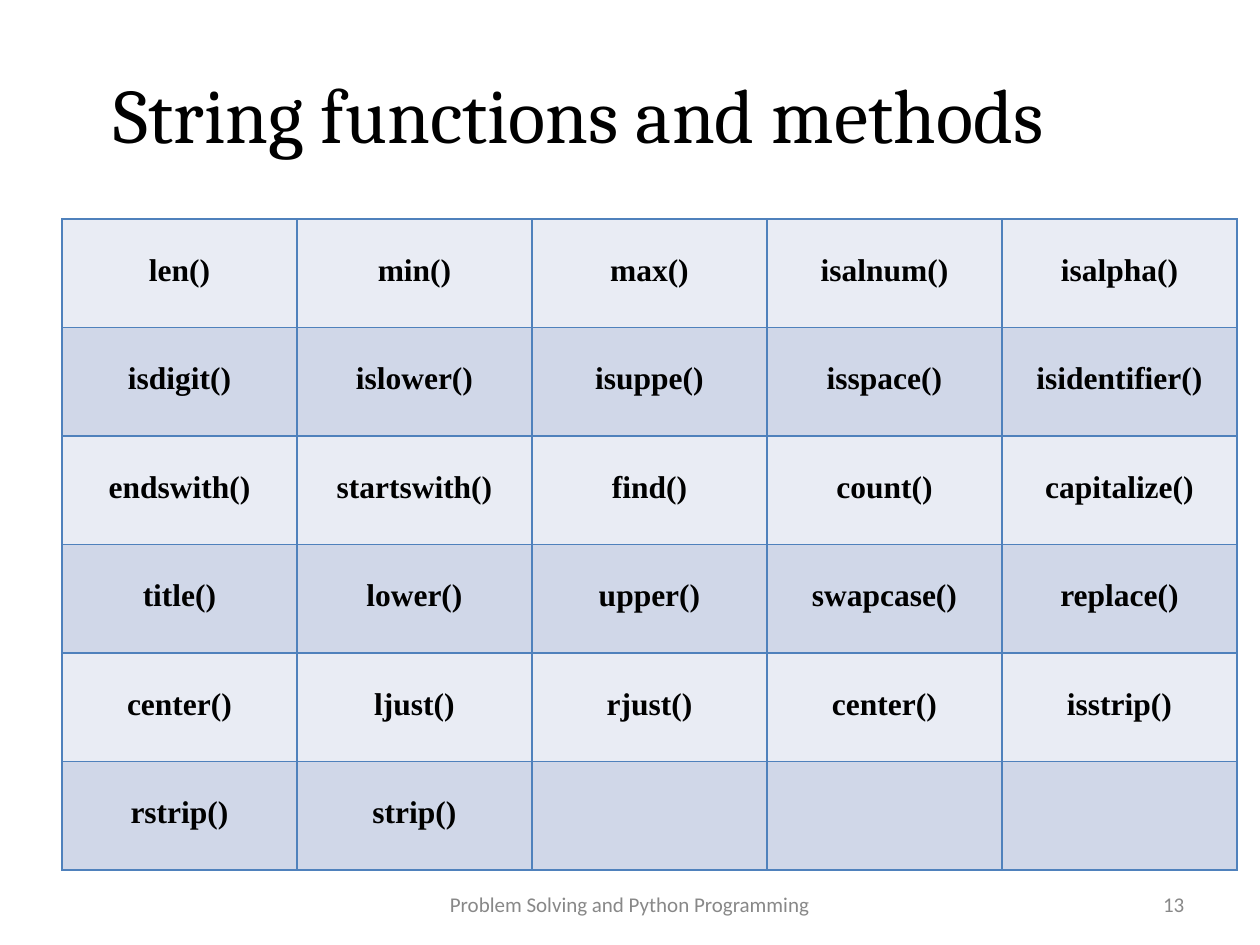
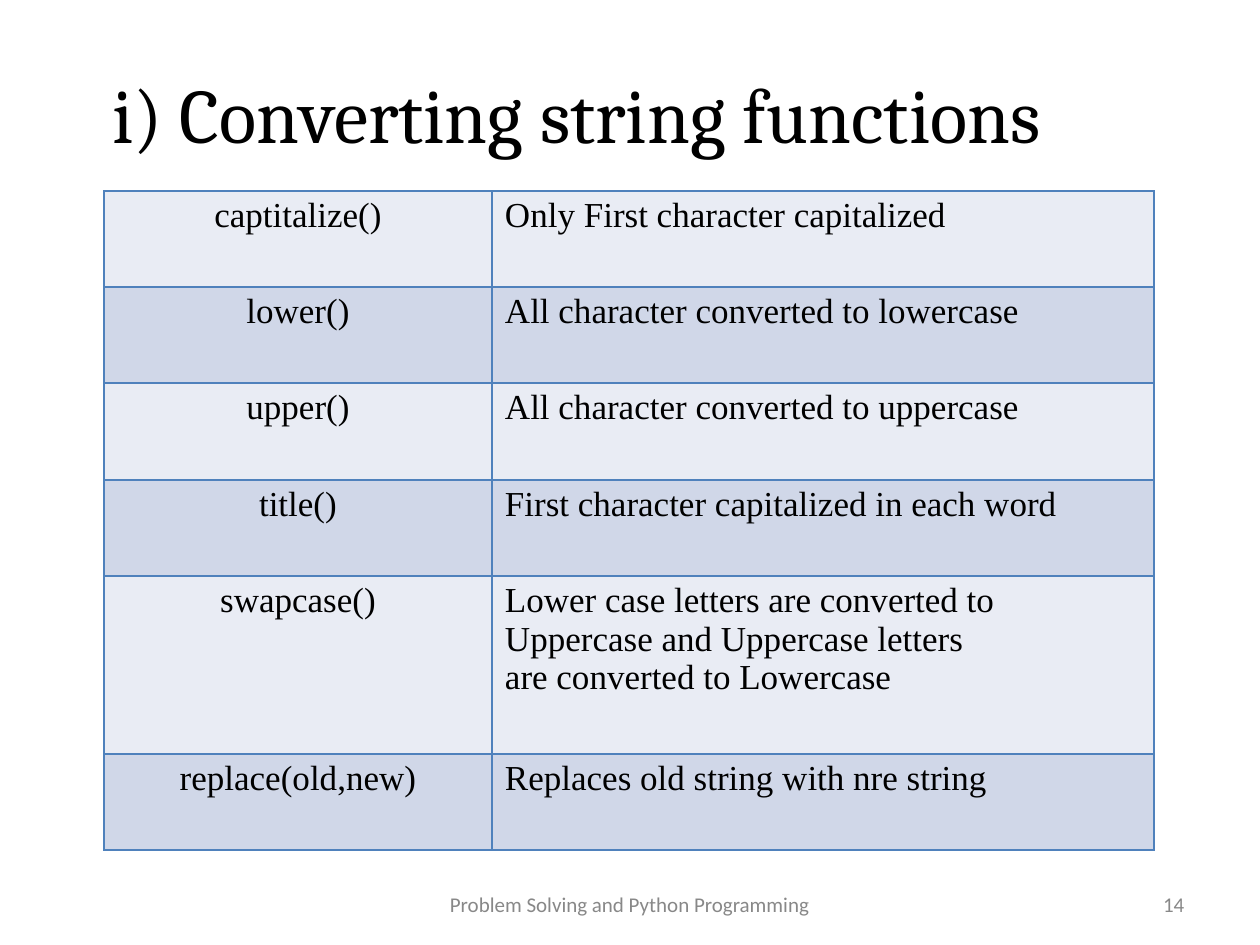
from lxml import etree
from pptx import Presentation, util as u
from pptx.dml.color import RGBColor
from pptx.enum import text
from pptx.oxml import ns

PX = 914400 / 126
BLACK, GREY, BORDER = "000000", "888888", "4F81BC"
BANDS = ("E9ECF4", "D0D7E8")
SERIF = "Times New Roman"
LEFT, MIDDLE = text.PP_ALIGN.LEFT, text.PP_ALIGN.CENTER

METHODS = [
    ["len()", "min()", "max()", "isalnum()", "isalpha()"],
    ["isdigit()", "islower()", "isuppe()", "isspace()", "isidentifier()"],
    ["endswith()", "startswith()", "find()", "count()", "capitalize()"],
    ["title()", "lower()", "upper()", "swapcase()", "replace()"],
    ["center()", "ljust()", "rjust()", "center()", "isstrip()"],
    ["rstrip()", "strip()", "", "", ""],
]
CONVERT = [
    ["captitalize()", "Only First character capitalized"],
    ["lower()", "All character converted to lowercase"],
    ["upper()", "All character converted to uppercase"],
    ["title()", "First character capitalized in each word"],
    ["swapcase()", "Lower case letters are converted to Uppercase and "
                   "Uppercase letters are converted to Lowercase"],
    ["replace(old,new)", "Replaces old string with nre string"],
]


def px(n):
    return u.Emu(round(n * PX))


def paint(hue):
    return RGBColor.from_string(hue)


def style(frame, font, size, hue, bold=False, align=LEFT):
    for par in frame.paragraphs:
        par.alignment = align
        for run in par.runs:
            run.font.name = font
            run.font.size = u.Pt(size)
            run.font.bold = bold
            run.font.color.rgb = paint(hue)


def pad(item, left=0, top=0, right=0):
    item.margin_left, item.margin_top = px(left), px(top)
    item.margin_right, item.margin_bottom = px(right), 0


def place(shape, left, top, width, height):
    shape.left, shape.top = px(left), px(top)
    shape.width, shape.height = px(width), px(height)


# Slide frame: title, footer and page number
def add_note(slide, words, left, width):
    box = slide.shapes.add_textbox(px(left), px(891), px(width), px(24))
    frame = box.text_frame
    frame.word_wrap = True
    frame.text = words
    pad(frame)
    frame.paragraphs[0].line_spacing = 1.03
    style(frame, "Calibri", 12, GREY)


def add_page(deck, title, left, number):
    slide = deck.slides.add_slide(deck.slide_layouts[5])
    head = slide.shapes.title
    place(head, left, 66, 1040, 96)
    frame = head.text_frame
    frame.text = title
    frame.word_wrap = True
    frame.auto_size = text.MSO_AUTO_SIZE.NONE
    frame.vertical_anchor = text.MSO_ANCHOR.TOP
    pad(frame, left=1, top=1)
    style(frame, "Cambria", 44, BLACK)
    add_note(slide, "Problem Solving and Python Programming", 450, 365)
    add_note(slide, str(number), 1163, 34)
    return slide


# Tables with alternating row fills
def edge(cell):
    props = cell._tc.get_or_add_tcPr()
    for spot, side in enumerate(("lnL", "lnR", "lnT", "lnB")):
        line = etree.Element(ns.qn("a:" + side), w=str(u.Pt(1)))
        fill = etree.SubElement(line, ns.qn("a:solidFill"))
        etree.SubElement(fill, ns.qn("a:srgbClr"), val=BORDER)
        props.insert(spot, line)


def add_grid(slide, data, left, top, cols, rows):
    frame = slide.shapes.add_table(len(rows), len(cols), px(left), px(top),
                                   px(sum(cols)), px(sum(rows)))
    table = frame.table
    table.first_row = table.horz_banding = False
    for col, width in zip(table.columns, cols):
        col.width = px(width)
    for index, height in enumerate(rows):
        table.rows[index].height = px(height)
        for cell, words in zip(table.rows[index].cells, data[index]):
            cell.text = words
            cell.fill.solid()
            cell.fill.fore_color.rgb = paint(BANDS[index % 2])
            edge(cell)
    return table


def add_methods(slide):
    table = add_grid(slide, METHODS, 62, 219, [235] * 5, [108.5] * 6)
    for cell in table.iter_cells():
        pad(cell, top=34)
        style(cell.text_frame, SERIF, 18, BLACK, True, MIDDLE)


def add_convert(slide):
    table = add_grid(slide, CONVERT, 104, 191, [388, 662],
                     [96, 96, 97, 96, 178, 96])
    for row in table.rows:
        name, use = row.cells
        pad(name, top=5)
        style(name.text_frame, SERIF, 20, BLACK, align=MIDDLE)
        pad(use, left=13, top=5)
        style(use.text_frame, SERIF, 20, BLACK)
    # Narrow the long text so that it wraps to three lines
    table.cell(4, 1).margin_right = px(149)


def main():
    deck = Presentation()
    deck.slide_width, deck.slide_height = px(1260), px(945)
    add_methods(add_page(deck, "String functions and methods", 113, 13))
    add_convert(add_page(deck, "i) Converting string functions", 111, 14))
    deck.save("out.pptx")


if __name__ == "__main__":
    main()
